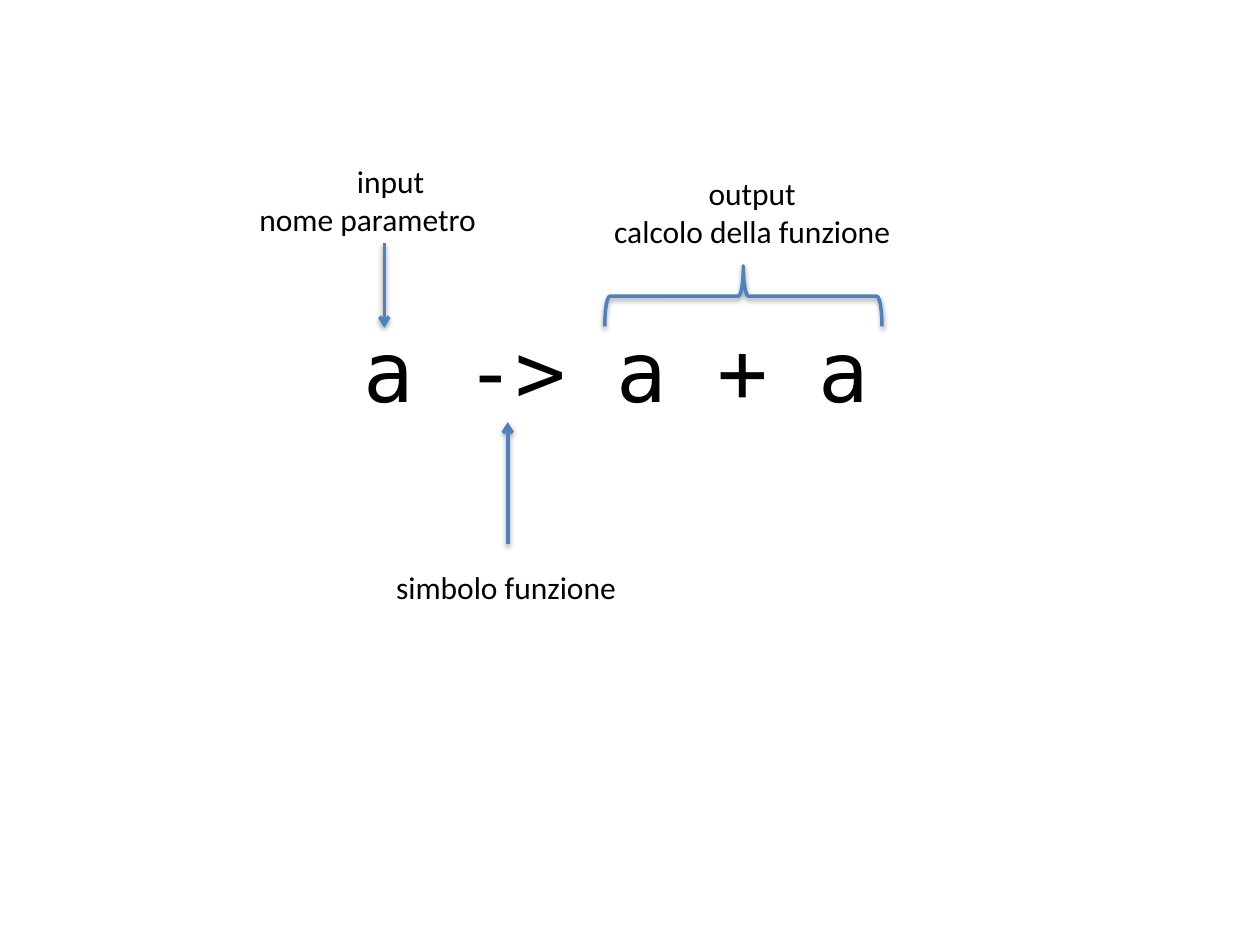
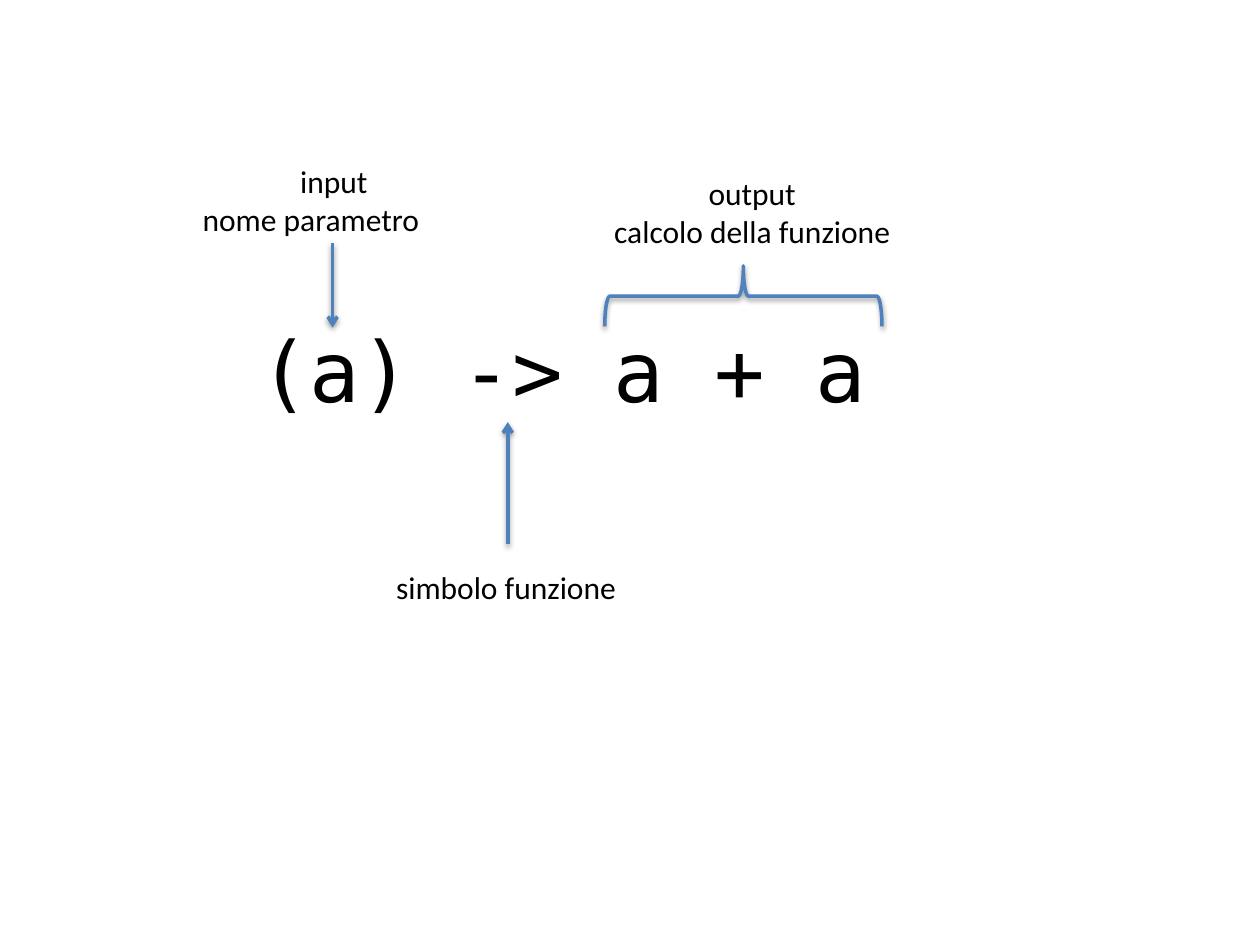
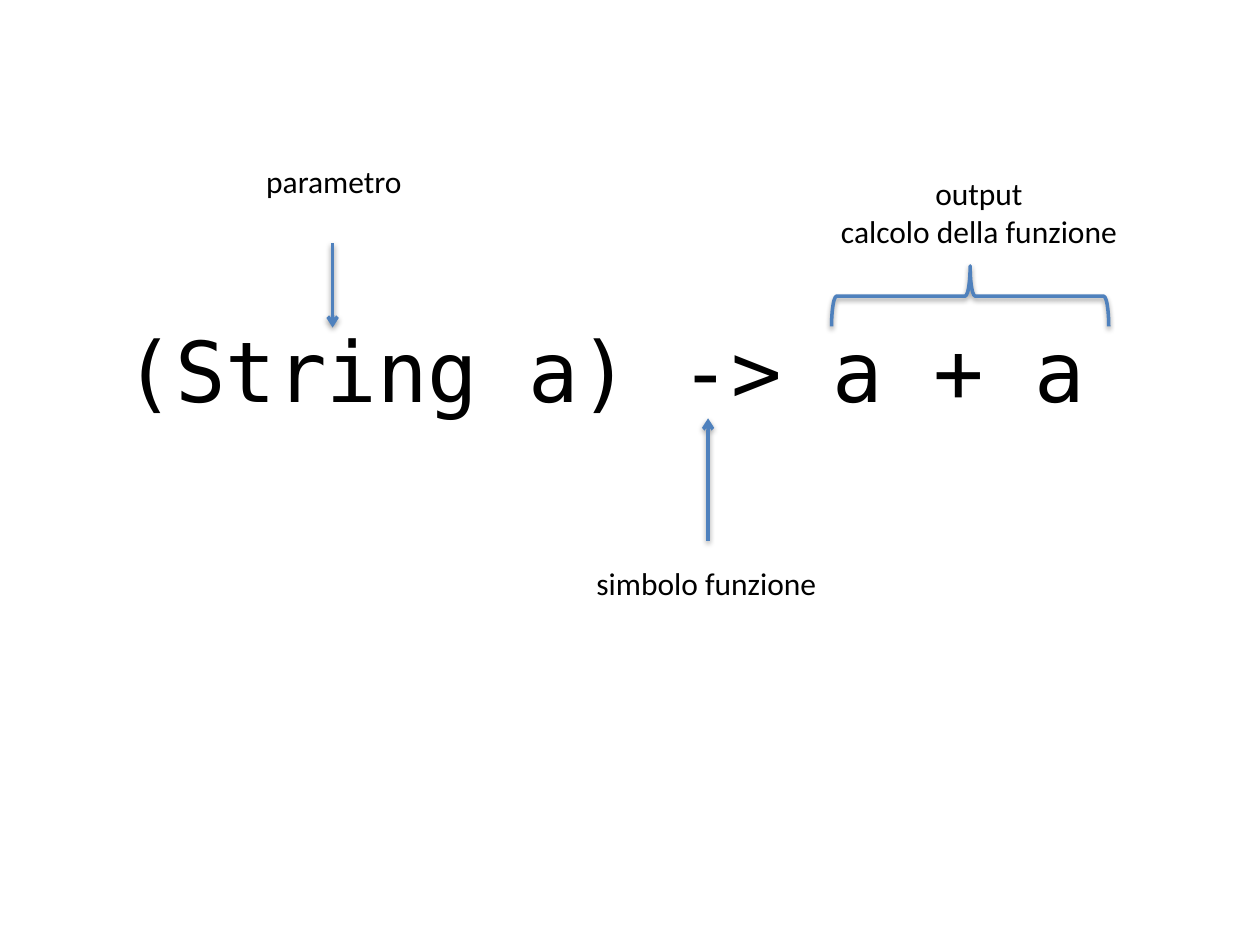
import collections
import lxml.etree
import pptx
import pptx.dml.color
import pptx.enum.shapes
import pptx.enum.text
import pptx.oxml.ns
import pptx.util

Theme = collections.namedtuple("Theme", "ink accent code_font text_font code text line")
theme = Theme(
    ink=pptx.dml.color.RGBColor(0x00, 0x00, 0x00),
    accent=pptx.dml.color.RGBColor(0x4F, 0x81, 0xBD),
    code_font="DejaVu Sans Mono",
    text_font="Calibri",
    code=pptx.util.Pt(48),
    text=pptx.util.Pt(18),
    line=pptx.util.Pt(2),
)
align = pptx.enum.text.PP_ALIGN

deck = pptx.Presentation()
deck.slide_width = pptx.util.Inches(10)
deck.slide_height = pptx.util.Inches(7.5)
col = deck.slide_width / 10
row = deck.slide_height / 7.5


def write(slide, words, x, y, wide, high, aligns, wrap=True, code=False):
    """Add a text box with one alignment for each paragraph."""
    box = slide.shapes.add_textbox(
        int(x * col), int(y * row), int(wide * col), int(high * row))
    frame = box.text_frame
    frame.text = words
    frame.word_wrap = wrap
    for para, side in zip(frame.paragraphs, aligns):
        para.alignment = side
        for run in para.runs:
            run.font.name = theme.code_font if code else theme.text_font
            run.font.size = theme.code if code else theme.text
            run.font.color.rgb = theme.ink


def point(slide, x, start, end):
    """Add a vertical arrow; its soft shadow comes from the deck's theme."""
    arrow = slide.shapes.add_connector(
        pptx.enum.shapes.MSO_CONNECTOR.STRAIGHT,
        int(x * col), int(start * row), int(x * col), int(end * row))
    arrow.line.color.rgb = theme.accent
    arrow.line.width = theme.line
    lxml.etree.SubElement(
        arrow.line._get_or_add_ln(), pptx.oxml.ns.qn("a:tailEnd"), type="arrow")


Case = collections.namedtuple(
    "Case", "code left wide param hint hint_mid sign sign_top out")
cases = [
    Case("a -> a + a", 2.79, 4.76, 3.05, "input\nnome parametro", 3.1, 4.03, 3.35, 5.9),
    Case("(a) -> a + a", 1.96, 5.59, 2.64, "input\nnome parametro", 2.65, 4.03, 3.35, 5.9),
    Case("(String a) -> a + a", 0.89, 8.23, 2.64, "parametro", 2.65, 5.62, 3.32, 7.7),
]
hint_wide, sign_wide, out_wide = 2.28, 1.97, 2.42
brace_wide, brace_high, brace_mid = 0.48, 2.2, 2.35
one_line, two_lines = 0.4, 0.71

for case in cases:
    slide = deck.slides.add_slide(deck.slide_layouts[6])
    write(slide, case.code, case.left, 2.48, case.wide, 0.91, [align.LEFT], code=True)

    point(slide, case.param, 1.93, 2.6)
    point(slide, case.sign, case.sign_top + 0.97, case.sign_top)

    hint_high = two_lines if "\n" in case.hint else one_line
    write(slide, case.hint, case.hint_mid - hint_wide / 2, 1.24, hint_wide, hint_high,
          [align.CENTER, align.LEFT])
    write(slide, "simbolo funzione", case.sign - sign_wide / 2, case.sign_top + 1.11,
          sign_wide, one_line, [align.LEFT], wrap=False)

    brace = slide.shapes.add_shape(
        pptx.enum.shapes.MSO_SHAPE.RIGHT_BRACE,
        int((case.out - brace_wide / 2) * col), int((brace_mid - brace_high / 2) * row),
        int(brace_wide * col), int(brace_high * row))
    brace.rotation = 270
    brace.fill.background()
    brace.line.color.rgb = theme.accent
    brace.line.width = theme.line
    # The first effect of the theme is the same soft shadow the arrows have.
    brace.element.xpath(".//a:effectRef")[0].set("idx", "1")

    write(slide, "output\ncalcolo della funzione", case.out + 0.07 - out_wide / 2, 1.33,
          out_wide, two_lines, [align.CENTER, align.CENTER], wrap=False)

deck.save("out.pptx")
